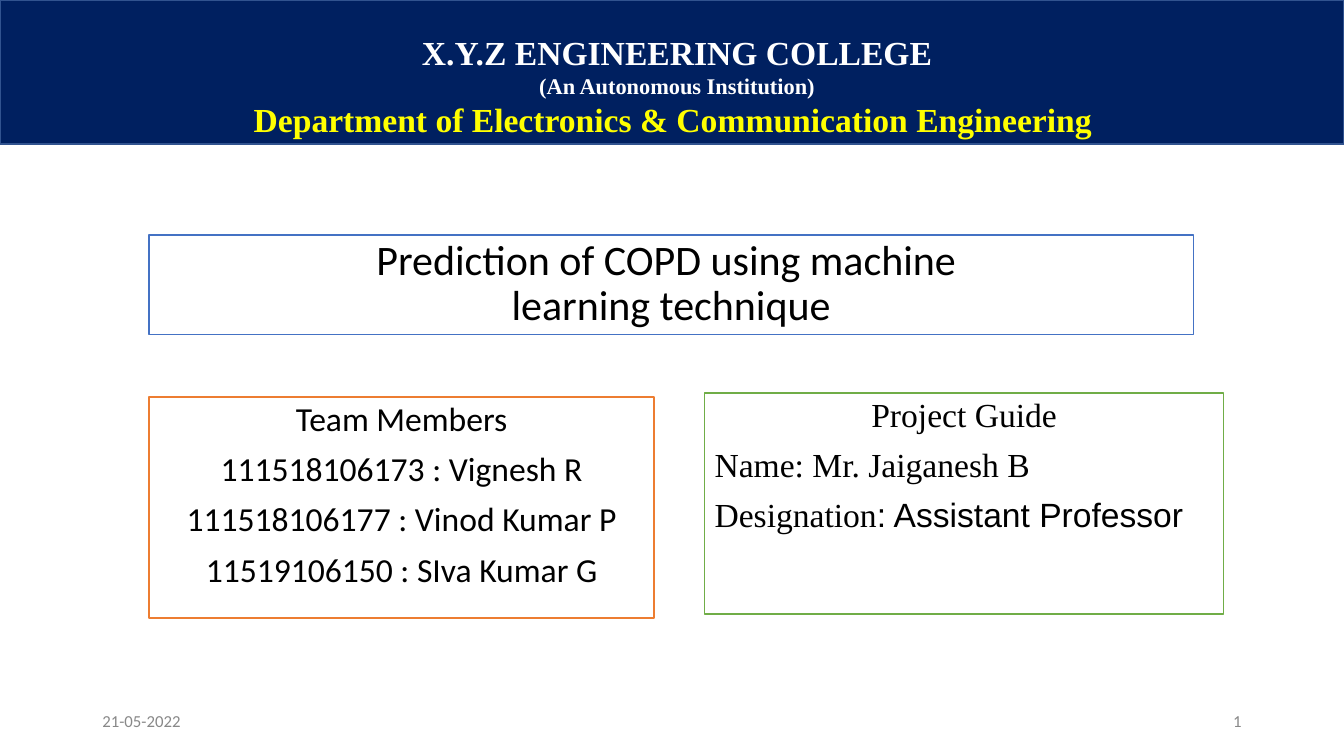
from pptx import Presentation
from pptx.dml.color import RGBColor
from pptx.enum.shapes import MSO_SHAPE
from pptx.enum.text import MSO_ANCHOR, PP_ALIGN
from pptx.util import Pt

RECTANGLE = MSO_SHAPE.RECTANGLE
TOP, MIDDLE, BOTTOM = MSO_ANCHOR.TOP, MSO_ANCHOR.MIDDLE, MSO_ANCHOR.BOTTOM
LEFT, CENTER, RIGHT = PP_ALIGN.LEFT, PP_ALIGN.CENTER, PP_ALIGN.RIGHT

THEME = {
    "white": "FFFFFF", "black": "000000", "navy": "002060", "yellow": "FFFF00",
    "gray": "888888", "blue": "4472C4", "dark blue": "31538F",
    "orange": "ED7D31", "green": "70AD47",
    "sans": "Calibri", "serif": "Times New Roman", "plain": "Arial",
    "title": 30, "body": 24, "note": 16, "footer": 12,
}

SLIDE_WIDTH, SLIDE_HEIGHT = 960, 540
BOX_LEFT = 106.56
FOOTER_TOP, FOOTER_WIDTH, FOOTER_HEIGHT = 500.4, 216, 28.8
FOOTER_MARGIN = 66

# A run is (text, font, size, colour, bold); a paragraph is (alignment, runs).
BANNER = [
    (CENTER, [("X.Y.Z ENGINEERING COLLEGE", "serif", "body", "white", True)]),
    (CENTER, [("(An Autonomous Institution)", "serif", "note", "white", True)]),
    (CENTER, [("Department of Electronics & Communication Engineering ",
               "serif", "body", "yellow", True)]),
]
TITLE = [(CENTER, [(line, "sans", "title", "black", False)])
         for line in ("Prediction of COPD using machine ", "learning technique")]
TEAM = [(CENTER, [(line, "sans", "body", "black", False)])
        for line in ("Team Members", "111518106173 : Vignesh R",
                     "111518106177 : Vinod Kumar P", "11519106150 : SIva Kumar G")]
GUIDE = [
    (CENTER, [("Project Guide", "serif", "body", "black", False)]),
    (LEFT, [("Name: Mr. Jaiganesh B", "serif", "body", "black", False)]),
    (LEFT, [("Designation", "serif", "body", "black", False),
            (": Assistant Professor", "plain", "body", "black", False)]),
]

# bounds, fill, line, anchor, paragraphs, line spacing, space before, left indent
PANELS = [
    ((BOX_LEFT, 167.76, 745.92, 71.28), "white", "blue", BOTTOM, TITLE, 0.9, 0, 0),
    ((BOX_LEFT, 283.68, 360.72, 157.68), "white", "orange", TOP, TEAM, 0.9, 10, 0),
    ((503.28, 280.8, 370.8, 157.68), "white", "green", TOP, GUIDE, 0.9, 10, 0),
    ((0, 0, SLIDE_WIDTH, 102.96), "navy", "dark blue", BOTTOM, BANNER, 1, 0, 7.2),
]
FOOTERS = [
    (FOOTER_MARGIN, LEFT, "21-05-2022"),
    (SLIDE_WIDTH - FOOTER_MARGIN - FOOTER_WIDTH, RIGHT, "1"),
]


def color(name):
    return RGBColor.from_string(THEME[name])


def set_values(target, values):
    for name, value in values.items():
        setattr(target, name, value)


def write(box, paragraphs, anchor, spacing=1, before=0, indent=0):
    frame = box.text_frame
    set_values(frame, {
        "word_wrap": True, "vertical_anchor": anchor,
        "margin_left": Pt(7.2), "margin_right": Pt(7.2),
        "margin_top": Pt(3.6), "margin_bottom": Pt(3.6),
    })
    for index, (alignment, runs) in enumerate(paragraphs):
        para = frame.add_paragraph() if index else frame.paragraphs[0]
        set_values(para, {
            "alignment": alignment, "line_spacing": spacing,
            "space_before": Pt(before if index else 0), "space_after": Pt(0),
        })
        if indent:
            para._p.get_or_add_pPr().set("marL", str(Pt(indent)))
        for text, font, size, ink, bold in runs:
            span = para.add_run()
            span.text = text
            set_values(span.font, {"name": THEME[font], "size": Pt(THEME[size]), "bold": bold})
            span.font.color.rgb = color(ink)


def add_panel(page, bounds, fill, line, anchor, paragraphs, spacing, before, indent):
    box = page.shapes.add_shape(RECTANGLE, *map(Pt, bounds))
    box.shadow.inherit = False
    box.fill.solid()
    box.fill.fore_color.rgb = color(fill)
    box.line.color.rgb = color(line)
    box.line.width = Pt(1)
    write(box, paragraphs, anchor, spacing, before, indent)


def add_footer(page, left, alignment, text):
    box = page.shapes.add_textbox(*map(Pt, (left, FOOTER_TOP, FOOTER_WIDTH, FOOTER_HEIGHT)))
    write(box, [(alignment, [(text, "sans", "footer", "gray", False)])], MIDDLE)


def main():
    deck = Presentation()
    deck.slide_width, deck.slide_height = Pt(SLIDE_WIDTH), Pt(SLIDE_HEIGHT)
    page = deck.slides.add_slide(deck.slide_layouts[6])
    for panel in PANELS:
        add_panel(page, *panel)
    for footer in FOOTERS:
        add_footer(page, *footer)
    deck.save("out.pptx")


if __name__ == "__main__":
    main()
